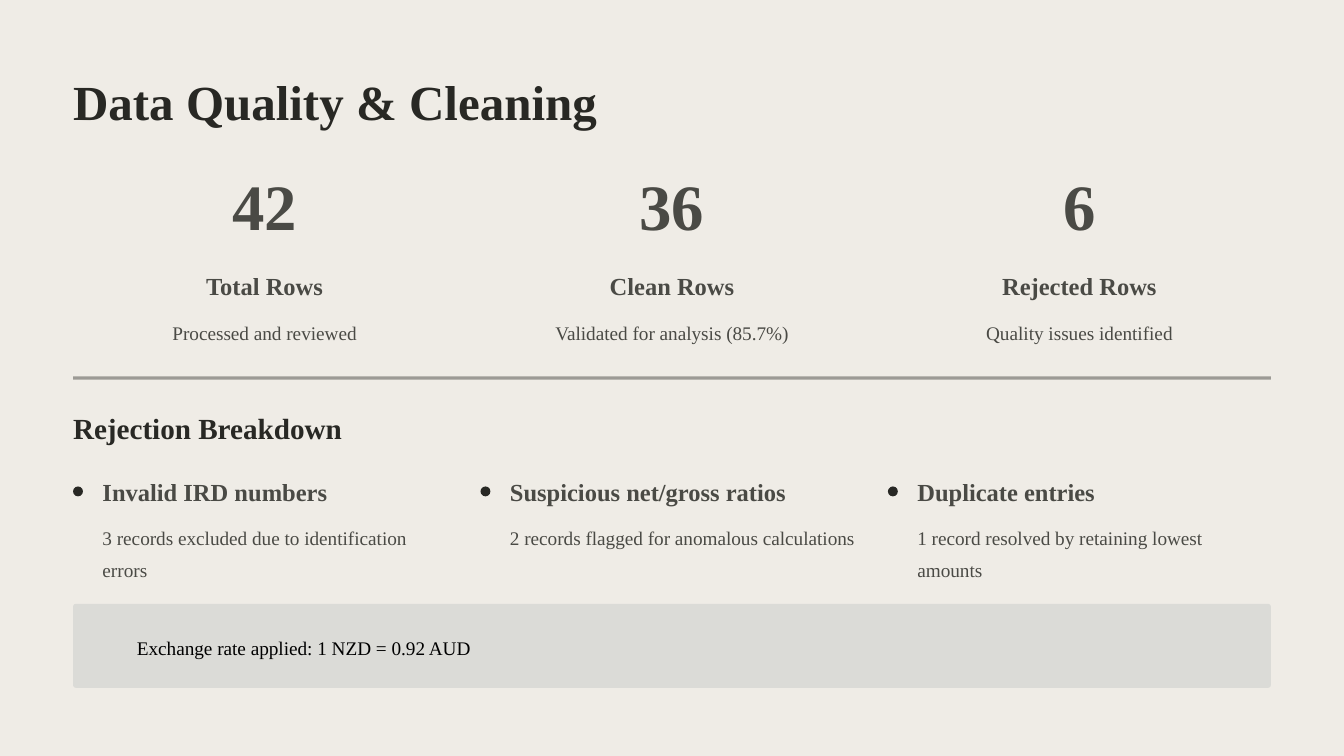
import pptx
import pptx.util
import pptx.dml.color
import pptx.enum.shapes
import pptx.enum.text
import pptx.oxml
import pptx.oxml.ns

Cm = pptx.util.Cm
Pt = pptx.util.Pt
Kind = pptx.enum.shapes.MSO_SHAPE
Align = pptx.enum.text.PP_ALIGN

COLORS = {
    "page": "EFECE6",
    "dark": "282824",
    "gray": "4A4A45",
    "panel": "DBDBD7",
    "black": "000000",
}
# font size, line spacing (points), bold
STYLES = {
    "title": (42, 53, True),
    "figure": (55.5, 55.5, True),
    "section": (25, 31.5, True),
    "label": (21, 26.5, True),
    "detail": (16.5, 27, False),
}
FRAME = {
    "margin_left": 0,
    "margin_top": 0,
    "margin_right": 0,
    "margin_bottom": 0,
    "word_wrap": True,
    "auto_size": pptx.enum.text.MSO_AUTO_SIZE.NONE,
    "vertical_anchor": pptx.enum.text.MSO_ANCHOR.TOP,
}
LEFT, WIDTH = 2.21, 36.22
COLUMN, PITCH, INDENT = 11.58, 12.32, 0.89


def rgb(name):
    return pptx.dml.color.RGBColor.from_string(COLORS[name])


def write(text, style, color, box, align=Align.LEFT, holder=None):
    """Put styled text in a new text box, or in the given placeholder."""
    left, top, width, height = map(Cm, box)
    if holder is None:
        holder = slide.shapes.add_textbox(left, top, width, height)
    else:
        holder.left, holder.top, holder.width, holder.height = left, top, width, height
    frame = holder.text_frame
    for name, value in FRAME.items():
        setattr(frame, name, value)
    size, spacing, bold = STYLES[style]
    para = frame.paragraphs[0]
    para.alignment = align
    para.line_spacing = Pt(spacing)
    run = para.add_run()
    run.text = text
    look = {"name": "Times New Roman", "size": Pt(size), "bold": bold}
    for name, value in look.items():
        setattr(run.font, name, value)
    run.font.color.rgb = rgb(color)


deck = pptx.Presentation()
deck.slide_width, deck.slide_height = Cm(40.64), Cm(22.86)
slide = deck.slides.add_slide(deck.slide_layouts[5])
slide.background.fill.solid()
slide.background.fill.fore_color.rgb = rgb("page")

write("Data Quality & Cleaning", "title", "dark", (LEFT, 2.06, WIDTH, 1.88),
      holder=slide.shapes.title)

# Shapes: kind, left, top, width, height, color, corner
shapes = [
    (Kind.RECTANGLE, LEFT, 11.38, WIDTH, 0.1, "gray", None),
    (Kind.ROUNDED_RECTANGLE, LEFT, 18.26, WIDTH, 2.54, "panel", 0.035),
]
for col in range(3):
    shapes.append((Kind.OVAL, LEFT + col * PITCH, 14.71, 0.3, 0.3, "dark", None))
drawn = []
for kind, left, top, width, height, color, corner in shapes:
    shape = slide.shapes.add_shape(kind, Cm(left), Cm(top), Cm(width), Cm(height))
    shape.shadow.inherit = False
    shape.fill.solid()
    shape.fill.fore_color.rgb = rgb(color)
    shape.line.fill.background()
    if corner is not None:
        shape.adjustments[0] = corner
    drawn.append(shape)

# The divider is half transparent
tint = drawn[0].fill._xPr.find(".//" + pptx.oxml.ns.qn("a:srgbClr"))
tint.append(pptx.oxml.parse_xml(
    f'<a:alpha {pptx.oxml.ns.nsdecls("a")} val="50000"/>'))

totals = [
    ("42", "Total Rows", "Processed and reviewed"),
    ("36", "Clean Rows", "Validated for analysis (85.7%)"),
    ("6", "Rejected Rows", "Quality issues identified"),
]
for col, (figure, label, detail) in enumerate(totals):
    left = LEFT + col * PITCH
    write(figure, "figure", "gray", (left, 5.41, COLUMN, 1.98), Align.CENTER)
    write(label, "label", "gray", (left, 8.15, COLUMN, 0.94), Align.CENTER)
    write(detail, "detail", "gray", (left, 9.45, COLUMN, 0.97), Align.CENTER)

write("Rejection Breakdown", "section", "dark", (LEFT, 12.37, WIDTH, 1.12))
reasons = [
    ("Invalid IRD numbers", "3 records excluded due to identification errors"),
    ("Suspicious net/gross ratios", "2 records flagged for anomalous calculations"),
    ("Duplicate entries", "1 record resolved by retaining lowest amounts"),
]
for col, (label, detail) in enumerate(reasons):
    left = LEFT + col * PITCH + INDENT
    write(label, "label", "gray", (left, 14.38, COLUMN - INDENT, 0.94))
    write(detail, "detail", "gray", (left, 15.67, COLUMN - INDENT, 1.9))

write("Exchange rate applied: 1 NZD = 0.92 AUD", "detail", "black",
      (4.14, 19, 33.68, 0.97))

deck.save("out.pptx")
